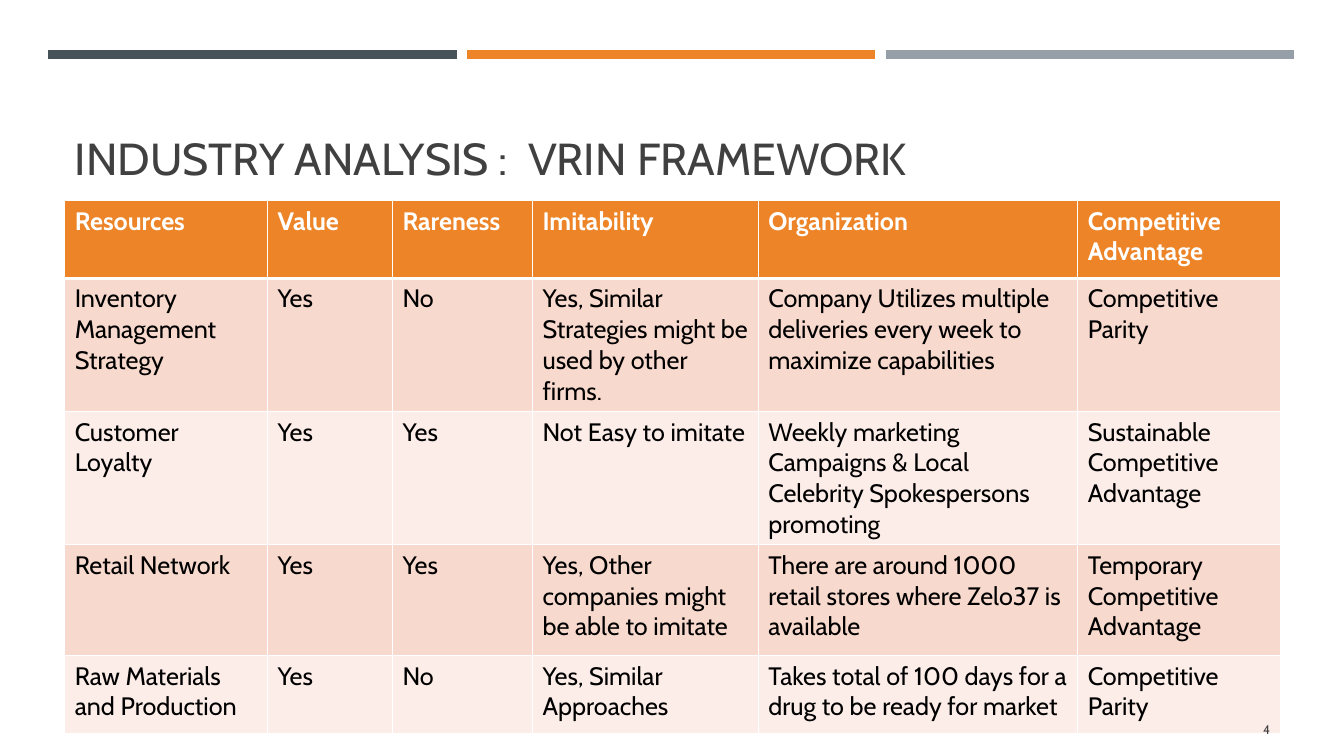
from dataclasses import dataclass

from lxml import etree
from pptx import Presentation
from pptx.dml.color import RGBColor
from pptx.enum import shapes, text
from pptx.oxml import ns
from pptx.util import Cm, Pt

FONT = "Cabin"
ORANGE, WHITE, BLACK, GREY = "ED8428", "FFFFFF", "000000", "404040"
BAND_FILLS = ("F8D9CD", "FCEDE8")

MARGIN, CONTENT_WIDTH = 1.63, 30.63
RULE_LEFT, RULE_TOP, RULE_LENGTH, RULE_PITCH = 1.22, 1.37, 10.29, 10.55
RULE_COLOURS = ("465359", ORANGE, "969FA7")


@dataclass(frozen=True)
class Resource:
    name: str
    value: str
    rareness: str
    imitability: str
    organization: str
    advantage: str
    height: float = 2.79

    def cells(self) -> tuple[str, ...]:
        return (self.name, self.value, self.rareness, self.imitability,
                self.organization, self.advantage)


COLUMN_WIDTHS = (5.11, 3.15, 3.53, 5.69, 8.05, 5.11)
ROWS = (
    Resource("Resources", "Value", "Rareness", "Imitability", "Organization",
             "Competitive Advantage", 1.96),
    Resource("Inventory Management Strategy", "Yes", "No",
             "Yes, Similar Strategies might be used by other firms.",
             "Company Utilizes multiple deliveries every week to maximize capabilities",
             "Competitive Parity"),
    Resource("Customer Loyalty", "Yes", "Yes", "Not Easy to imitate",
             "Weekly marketing Campaigns & Local Celebrity Spokespersons promoting",
             "Sustainable Competitive Advantage"),
    Resource("Retail Network", "Yes", "Yes",
             "Yes, Other companies might be able to imitate",
             "There are around 1000 retail stores where Zelo37 is available",
             "Temporary Competitive Advantage"),
    Resource("Raw Materials and Production", "Yes", "No", "Yes, Similar Approaches",
             "Takes total of 100 days for a drug to be ready for market",
             "Competitive Parity", 1.96),
)


def colour(value: str) -> RGBColor:
    return RGBColor.from_string(value)


def write(frame, content: str, size: float, ink: str, bold: bool = False,
          align=text.PP_ALIGN.LEFT) -> None:
    paragraph = frame.paragraphs[0]
    paragraph.alignment = align
    run = paragraph.add_run()
    run.text = content
    run.font.name = FONT
    run.font.size = Pt(size)
    run.font.bold = bold
    run.font.color.rgb = colour(ink)


def add_rule(slide, left: float, ink: str) -> None:
    rule = slide.shapes.add_connector(
        shapes.MSO_CONNECTOR.STRAIGHT, Cm(left), Cm(RULE_TOP),
        Cm(left + RULE_LENGTH), Cm(RULE_TOP))
    rule.line.color.rgb = colour(ink)
    rule.line.width = Pt(6.5)
    etree.SubElement(rule._element.spPr, ns.qn("a:effectLst"))


def add_title(slide, content: str) -> None:
    title = slide.shapes.title
    title.left, title.top = Cm(MARGIN), Cm(2.03)
    title.width, title.height = Cm(CONTENT_WIDTH), Cm(2.74)
    frame = title.text_frame
    frame.word_wrap = True
    frame.auto_size = text.MSO_AUTO_SIZE.NONE
    frame.vertical_anchor = text.MSO_ANCHOR.BOTTOM
    write(frame, content, 32, GREY)


def add_borders(cell, top: float, bottom: float) -> None:
    """Draw white borders, widths in points; call before filling the cell."""
    properties = cell._tc.get_or_add_tcPr()
    for side, width in (("L", 1), ("R", 1), ("T", top), ("B", bottom)):
        line = etree.SubElement(properties, ns.qn(f"a:ln{side}"), w=str(Pt(width)))
        fill = etree.SubElement(line, ns.qn("a:solidFill"))
        etree.SubElement(fill, ns.qn("a:srgbClr"), val=WHITE)


def add_resource_table(slide) -> None:
    height = sum(row.height for row in ROWS)
    table = slide.shapes.add_table(
        len(ROWS), len(COLUMN_WIDTHS), Cm(MARGIN), Cm(5.06),
        Cm(CONTENT_WIDTH), Cm(height)).table
    for column, width in zip(table.columns, COLUMN_WIDTHS):
        column.width = Cm(width)
    for index, resource in enumerate(ROWS):
        header = index == 0
        table.rows[index].height = Cm(resource.height)
        for position, content in enumerate(resource.cells()):
            cell = table.cell(index, position)
            add_borders(cell, top=3 if index == 1 else 1, bottom=3 if header else 1)
            cell.fill.solid()
            cell.fill.fore_color.rgb = colour(
                ORANGE if header else BAND_FILLS[(index - 1) % 2])
            write(cell.text_frame, content, 18, WHITE if header else BLACK, header)


def add_slide_number(slide, number: str) -> None:
    frame = slide.shapes.add_textbox(Cm(29.34), Cm(17.86), Cm(2.92), Cm(1.02)).text_frame
    frame.word_wrap = True
    frame.vertical_anchor = text.MSO_ANCHOR.MIDDLE
    write(frame, number, 9, GREY, align=text.PP_ALIGN.RIGHT)
    frame.paragraphs[0].space_after = Pt(6)


def main() -> None:
    presentation = Presentation()
    presentation.slide_width, presentation.slide_height = Cm(33.87), Cm(19.05)
    slide = presentation.slides.add_slide(presentation.slide_layouts[5])
    for index, ink in enumerate(RULE_COLOURS):
        add_rule(slide, RULE_LEFT + index * RULE_PITCH, ink)
    add_title(slide, "INDUSTRY ANALYSIS :  VRIN FRAMEWORK")
    add_resource_table(slide)
    add_slide_number(slide, "4")
    presentation.save("out.pptx")


if __name__ == "__main__":
    main()
